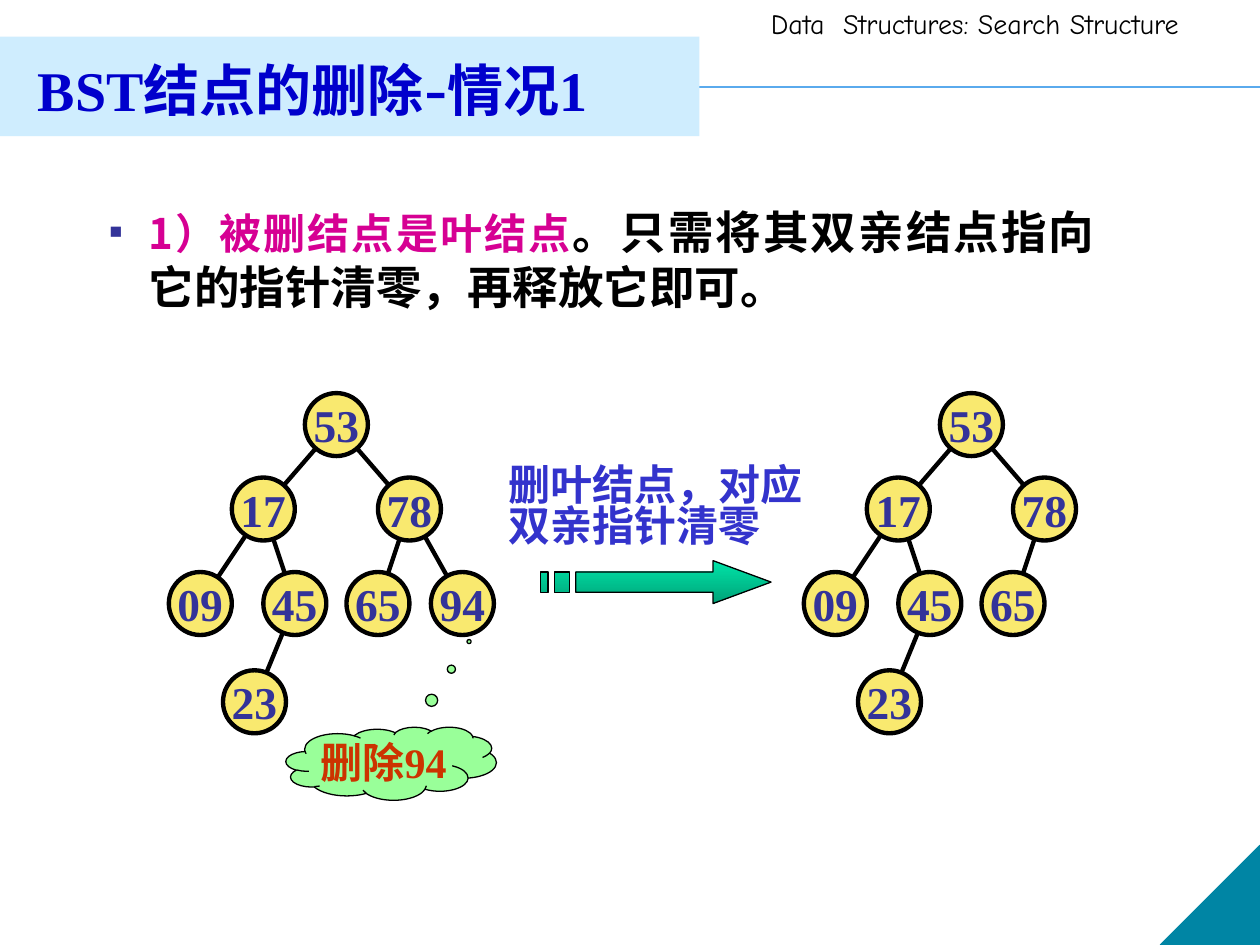
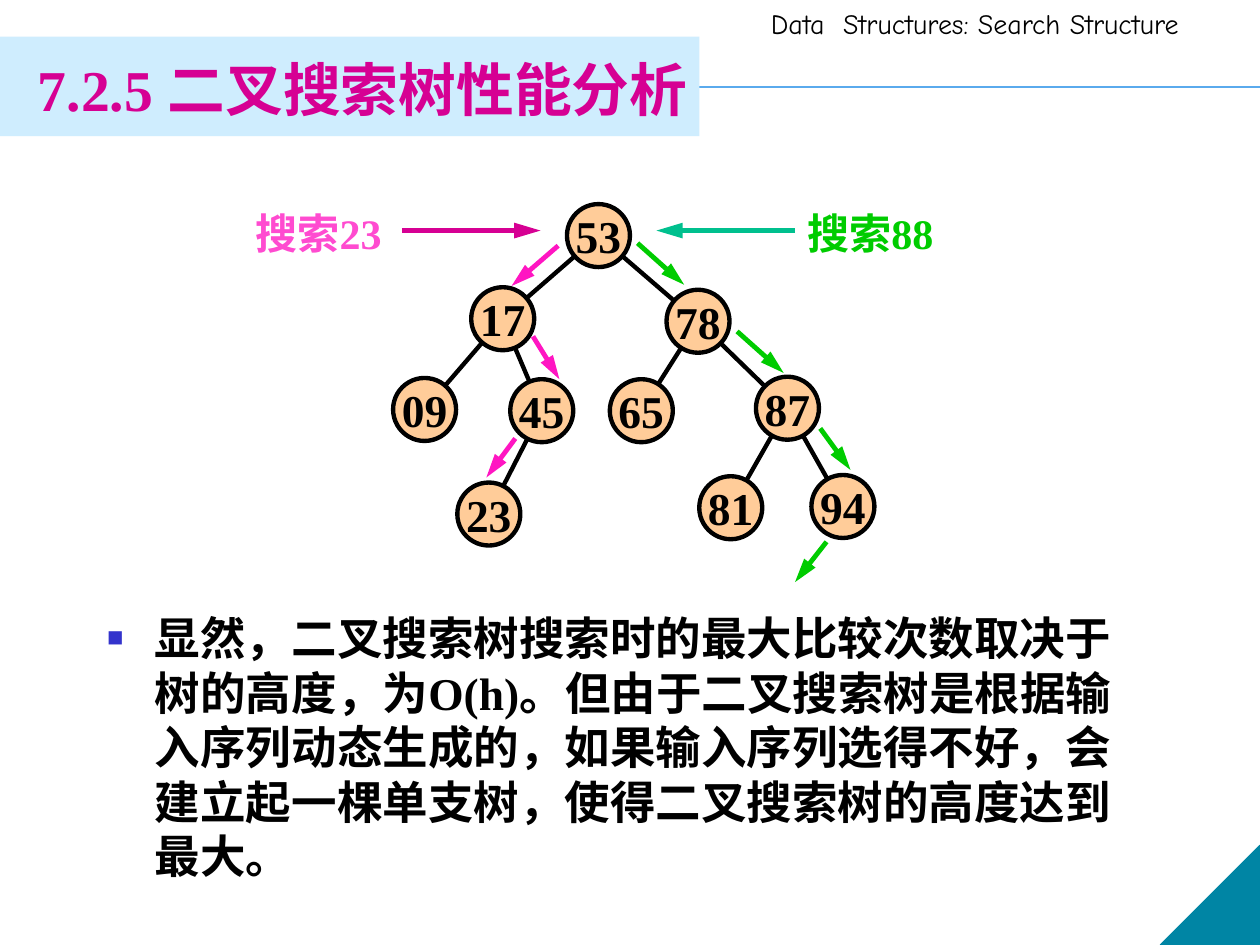
from dataclasses import dataclass

from lxml.etree import SubElement as Sub
from pptx import Presentation
from pptx.dml.color import RGBColor as RGB
from pptx.enum.shapes import MSO_CONNECTOR as Link, MSO_SHAPE as Kind
from pptx.enum.text import MSO_ANCHOR as Anchor, MSO_AUTO_SIZE as Auto, PP_ALIGN as Align
from pptx.oxml.ns import qn
from pptx.util import Inches, Pt


@dataclass(frozen=True)
class Theme:
    """Colours, fonts and type sizes of the deck."""
    serif: str = "Times New Roman"
    sans: str = "Cabin"
    hand: str = "Comic Neue"
    han: str = "Noto Sans CJK SC"
    ink: str = "000000"
    rule: str = "5AAAED"
    corner: str = "0085A4"
    band: str = "CFEDFE"
    blue: str = "0000CC"
    note: str = "3333CC"
    navy: str = "333399"
    rose: str = "D60093"
    pink: str = "FF15C2"
    pale: str = "FF4BD0"
    green: str = "00CC00"
    teal: str = "00C08E"
    gold: str = "F9E96F"
    peach: str = "FFCC99"
    mint: str = "99FF99"
    rust: str = "CC3300"
    head: int = 16
    label: int = 24
    body: int = 26
    pitch: float = 1.2


T = Theme()
WIDE, HIGH = 10, 7.5
NODE = 0.5
HEAD = "Data  Structures: Search Structure"
TITLE = (0.2, 0.33, 5.99, 0.75)

ROWS = (0, 0.67, 1.42, 2.2)
FULL = {
    "53": (0, ROWS[0], None),
    "17": (-0.58, ROWS[1], "53"),
    "78": (0.58, ROWS[1], "53"),
    "09": (-1.08, ROWS[2], "17"),
    "45": (-0.33, ROWS[2], "17"),
    "65": (0.33, ROWS[2], "78"),
    "94": (1, ROWS[2], "78"),
    "23": (-0.65, ROWS[3], "45"),
}
CUT = {key: spot for key, spot in FULL.items() if key != "94"}
DEEP = {
    "53": (0, 0, None),
    "17": (-0.76, 0.66, "53"),
    "78": (0.79, 0.68, "53"),
    "09": (-1.38, 1.38, "17"),
    "45": (-0.45, 1.39, "17"),
    "65": (0.34, 1.39, "78"),
    "87": (1.5, 1.37, "78"),
    "81": (1.05, 2.16, "87"),
    "94": (1.94, 2.15, "87"),
    "23": (-0.87, 2.21, "45"),
}

LEAF = {
    "title": [("BST结点", None), ("的删除-情况", T.sans), ("1", None)],
    "rule": [("1）被删结点是叶结点", (T.han, T.label, T.rose)),
             ("。只需将其双亲结点指向它的指针清零，再释放它即可。", None)],
    "note": "删叶结点，对应双亲指针清零",
    "cloud": "删除94",
}
COST = {
    "title": [("7.2.5 二叉搜索树性能分析", None)],
    "rule": [("显然，二叉搜索树搜索时的最大比较次数取决于树的高度，为O(h)。"
              "但由于二叉搜索树是根据输入序列动态生成的，如果输入序列选得不好，"
              "会建立起一棵单支树，使得二叉搜索树的高度达到最大。", None)],
    "labels": [("搜索23", 1.93, T.pale), ("搜索88", 6.31, T.green)],
    "starts": [(T.rose, (3.19, 1.83), (4.29, 1.83)),
               (T.teal, (6.31, 1.83), (5.21, 1.83))],
    "steps": [
        (T.pink, (4.43, 1.95), (4.06, 2.27)),
        (T.pink, (4.23, 2.67), (4.44, 3.01)),
        (T.pink, (4.09, 3.48), (3.86, 3.79)),
        (T.green, (5.06, 1.93), (5.43, 2.26)),
        (T.green, (5.85, 2.63), (6.22, 2.96)),
        (T.green, (6.51, 3.4), (6.75, 3.73)),
        (T.green, (6.56, 4.3), (6.31, 4.62)),
    ],
}


def inch(*nums):
    """Turn numbers into inches."""
    return [Inches(num) for num in nums]


def paint(shape, fill, line=None, width=0.75):
    """Give a shape a flat fill and outline."""
    shape.shadow.inherit = False
    shape.fill.solid()
    shape.fill.fore_color.rgb = RGB.from_string(fill)
    if line:
        shape.line.color.rgb = RGB.from_string(line)
        shape.line.width = Pt(width)
    else:
        shape.line.fill.background()
    return shape


def style(font, name, size, color, bold=True):
    """Set the looks of a font."""
    font.name, font.size, font.bold = name, Pt(size), bold
    font.color.rgb = RGB.from_string(color)


def write(frame, runs, size, color, name=T.serif, bold=True, align=Align.LEFT,
          anchor=Anchor.TOP, wrap=True, pitch=None, bullet=None):
    """Fill a frame with one paragraph and return its runs."""
    frame.word_wrap, frame.auto_size = wrap, Auto.NONE
    frame.vertical_anchor = anchor
    para = frame.paragraphs[0]
    para.alignment, para.space_before = align, Pt(0)
    if pitch:
        para.line_spacing = Pt(pitch * size)
    prop = para._p.get_or_add_pPr()
    if bullet:
        left, hang, tint, share = bullet
        prop.set("marL", str(Inches(left)))
        prop.set("indent", str(-Inches(hang)))
        Sub(Sub(prop, qn("a:buClr")), qn("a:srgbClr"), val=tint)
        Sub(prop, qn("a:buSzPct"), val=str(share * 1000))
        Sub(prop, qn("a:buChar"), char="■")
    style(para.font, name, size, color, bold)
    Sub(prop.find(qn("a:defRPr")), qn("a:ea"), typeface=T.han)
    made = []
    for words in runs:
        run = para.add_run()
        run.text = words
        made.append(run)
    return made


def label(slide, box, words, size, color, **more):
    """Add a text box."""
    frame = slide.shapes.add_textbox(*inch(*box)).text_frame
    write(frame, [words], size, color, **more)


def link(slide, start, end, color, width, arrow=False):
    """Draw a straight line or an arrow."""
    line = slide.shapes.add_connector(Link.STRAIGHT, *inch(*start, *end))
    line.line.color.rgb = RGB.from_string(color)
    line.line.width = Pt(width)
    if arrow:
        Sub(line.line._get_or_add_ln(), qn("a:tailEnd"), type="triangle", len="lg")
    Sub(line.element.spPr, qn("a:effectLst"))


def place(slide, holder, box):
    """Move a placeholder to a box, in front of the frame."""
    holder.left, holder.top, holder.width, holder.height = inch(*box)
    slide.shapes.element.append(holder.element)
    return holder.text_frame


def start(deck, data, size, color):
    """Add a slide with the shared frame and its title."""
    slide = deck.slides.add_slide(deck.slide_layouts[1])
    link(slide, (0, 0.69), (WIDE, 0.69), T.rule, 1)
    side = 0.79
    box = inch(WIDE - side, HIGH - side, side, side)
    nook = paint(slide.shapes.add_shape(Kind.RIGHT_TRIANGLE, *box), T.corner, T.corner)
    nook.element.spPr.xfrm.set("flipH", "1")
    label(slide, (6.02, 0, 4.02, 0.37), HEAD, T.head, T.ink, name=T.hand, bold=False)
    paint(slide.shapes.add_shape(Kind.RECTANGLE, *inch(0, 0.29, 5.55, 0.79)), T.band)
    frame = place(slide, slide.shapes.title, TITLE)
    runs = write(frame, [words for words, _ in data["title"]], size, color,
                 anchor=Anchor.MIDDLE, pitch=T.pitch)
    for run, (_, face) in zip(runs, data["title"]):
        if face:
            run.font.name = face
    return slide


def rule(slide, data, box, bullet, align=Align.LEFT):
    """Fill the body placeholder with the bullet."""
    frame = place(slide, slide.placeholders[1], box)
    runs = write(frame, [words for words, _ in data["rule"]], T.body, T.ink,
                 align=align, pitch=T.pitch, bullet=bullet)
    for run, (_, look) in zip(runs, data["rule"]):
        if look:
            style(run.font, *look)


def tree(slide, nodes, root, fill, color):
    """Draw the edges, then the nodes, of a tree."""
    spots = {key: (root[0] + x, root[1] + y) for key, (x, y, _) in nodes.items()}
    for key, (_, _, up) in nodes.items():
        if up:
            link(slide, spots[up], spots[key], T.ink, 2.5)
    for key, (x, y) in spots.items():
        box = inch(x - NODE / 2, y - NODE / 2, NODE, NODE)
        disc = paint(slide.shapes.add_shape(Kind.OVAL, *box), fill, T.ink, 2.5)
        write(disc.text_frame, [key], T.body, color, align=Align.CENTER,
              anchor=Anchor.MIDDLE, wrap=False)


def bar(left, right, top=454, low=470):
    """Return the corners of one arrow stripe."""
    return [(left, top), (left, low), (right, low), (right, top)]


def stripes(slide):
    """Draw the striped arrow, in hundredths of an inch."""
    tip = [(566, 445), (566, 454), *bar(457, 566)[:3], (566, 479), (612, 462)]
    pen = slide.shapes.build_freeform(*tip[0], scale=Inches(0.01))
    pen.add_line_segments(tip[1:], close=True)
    for part in (bar(440, 452), bar(429, 435)):
        pen.move_to(*part[0])
        pen.add_line_segments(part[1:], close=True)
    arrow = paint(pen.convert_to_shape(), T.teal, T.ink)
    arrow.fill.gradient()
    arrow.fill.gradient_angle = 270
    for stop, tint in zip(arrow.fill.gradient_stops, ("00E4A8", "00A378")):
        stop.color.rgb = RGB.from_string(tint)


def leaf(deck):
    """Build the slide on deleting a leaf."""
    slide = start(deck, LEAF, 32, T.blue)
    rule(slide, LEAF, (0.27, 1.57, 8.52, 4.7), (0.81, 0.31, T.navy, 50), Align.JUSTIFY)
    stripes(slide)
    label(slide, (3.94, 3.66, 2.76, 0.74), LEAF["note"], T.label, T.note, pitch=0.98)
    for nodes, x in ((FULL, 2.67), (CUT, 7.71)):
        tree(slide, nodes, (x, 3.37), T.gold, T.navy)
    cloud = slide.shapes.add_shape(Kind.CLOUD_CALLOUT, *inch(2.27, 5.77, 1.67, 0.58))
    cloud.adjustments[0], cloud.adjustments[1] = 0.37, -1.67
    write(paint(cloud, T.mint, T.ink).text_frame, [LEAF["cloud"]], T.label, T.rust,
          align=Align.CENTER, anchor=Anchor.MIDDLE, wrap=False, pitch=T.pitch)


def cost(deck):
    """Build the slide on the cost of a search."""
    slide = start(deck, COST, 33, T.rose)
    tree(slide, DEEP, (4.75, 1.87), T.peach, T.ink)
    for words, x, color in COST["labels"]:
        label(slide, (x, 1.6, 1.58, 0.5), words, T.label, color, pitch=T.pitch)
    for width, group in ((3, "starts"), (2.75, "steps")):
        for color, tail, tip in COST[group]:
            link(slide, tail, tip, color, width, arrow=True)
    rule(slide, COST, (0.75, 4.79, 8.35, 2.36), (0.38, 0.38, T.note, 60))


def main():
    """Build and save the deck."""
    deck = Presentation()
    deck.slide_width, deck.slide_height = inch(WIDE, HIGH)
    leaf(deck)
    cost(deck)
    deck.save("out.pptx")


if __name__ == "__main__":
    main()
